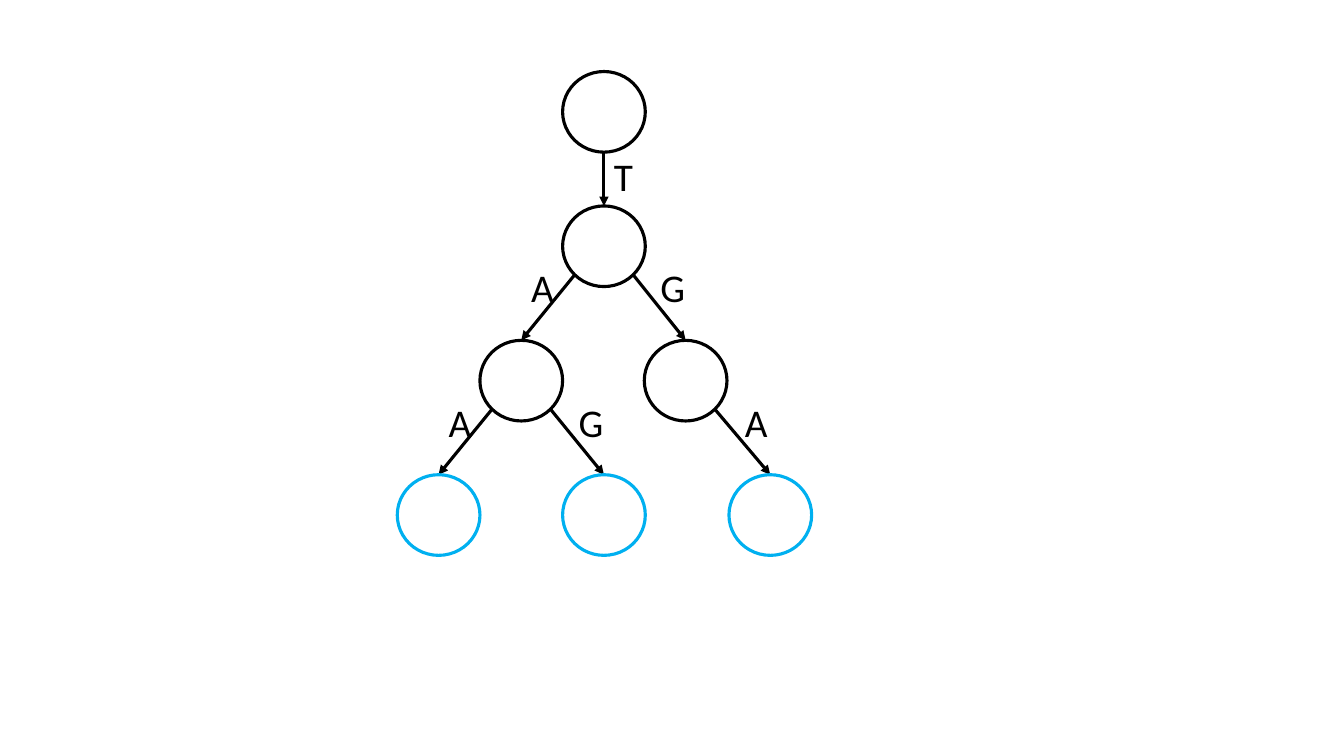
"""Draw a trie of the words TAA, TAG and TGA with its end nodes in blue."""
from lxml import etree
from pptx import Presentation
from pptx.dml.color import RGBColor
from pptx.enum.shapes import MSO_CONNECTOR, MSO_SHAPE
from pptx.oxml.ns import qn
from pptx.util import Inches, Pt

OVAL = MSO_SHAPE.OVAL
STRAIGHT = MSO_CONNECTOR.STRAIGHT

THEME = {
    "ink": RGBColor(0x00, 0x00, 0x00),
    "leaf": RGBColor(0x00, 0xB0, 0xF0),
    "font": "Calibri",
    "size": Pt(28),
    "line": Pt(2.25),
}

WIDE, HIGH = 0.82, 0.8
TOP, STEP = 0.71, 4 / 3
SLANT = 0.5 ** 0.5
TAG_WIDE, TAG_HIGH = 0.35, 0.57

prs = Presentation()
prs.slide_width, prs.slide_height = Inches(13.33), Inches(7.5)
slide = prs.slides.add_slide(prs.slide_layouts[6])
shapes = slide.shapes


def add_node(mid, top, color):
    node = shapes.add_shape(
        OVAL, Inches(mid - WIDE / 2), Inches(top), Inches(WIDE), Inches(HIGH))
    node.shadow.inherit = False
    node.fill.background()
    node.line.color.rgb = color
    node.line.width = THEME["line"]


def add_arrow(x1, y1, x2, y2):
    arrow = shapes.add_connector(
        STRAIGHT, Inches(x1), Inches(y1), Inches(x2), Inches(y2))
    arrow.line.color.rgb = THEME["ink"]
    arrow.line.width = THEME["line"]
    props = arrow._element.spPr
    etree.SubElement(props.find(qn("a:ln")), qn("a:tailEnd"), type="triangle")
    etree.SubElement(props, qn("a:effectLst"))


ROOT = 5.99
add_node(ROOT, TOP, THEME["ink"])

edges = [
    (ROOT, ROOT, 1, "T"),
    (ROOT, 5.17, 2, "A"),
    (ROOT, 6.8, 2, "G"),
    (5.17, 4.35, 3, "A"),
    (5.17, ROOT, 3, "G"),
    (6.8, 7.64, 3, "A"),
]

for start, end, row, letter in edges:
    top = TOP + row * STEP
    center = top - STEP + HIGH / 2
    side = (end > start) - (end < start)
    drop = HIGH / 2 * (SLANT if side else 1)
    add_arrow(start + side * SLANT * WIDE / 2, center + drop, end, top)
    add_node(end, top, THEME["leaf" if row == 3 else "ink"])

    left = end - TAG_WIDE if side > 0 else end
    rise = 0.81 if side else 0.58
    tag = shapes.add_textbox(
        Inches(left), Inches(top - rise), Inches(TAG_WIDE), Inches(TAG_HIGH))
    frame = tag.text_frame
    frame.word_wrap = True
    frame.text = letter
    font = frame.paragraphs[0].font
    font.name, font.size = THEME["font"], THEME["size"]
    font.color.rgb = THEME["ink"]

prs.save("out.pptx")
